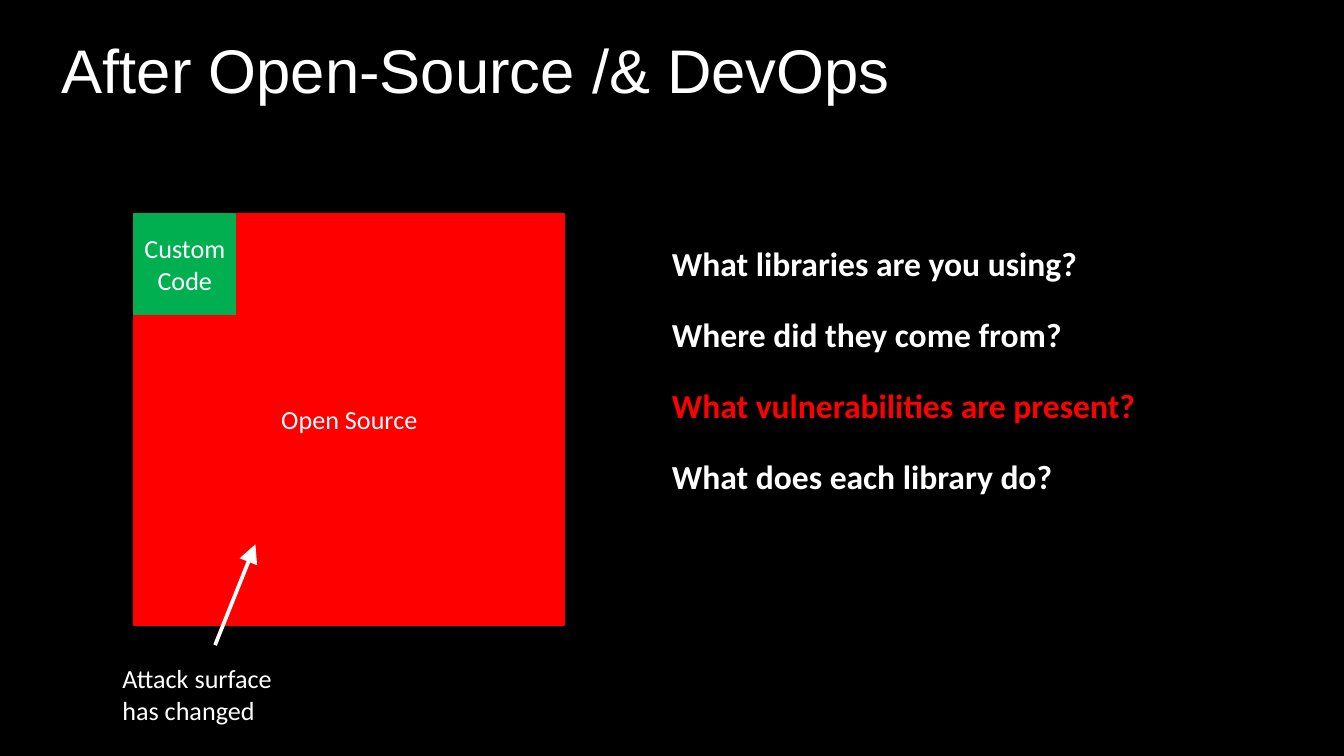
"""Build the slide on the attack surface after open source and DevOps."""
from lxml.etree import SubElement
from pptx import Presentation
from pptx.dml.color import RGBColor
from pptx.enum.shapes import MSO_CONNECTOR, MSO_SHAPE
from pptx.enum.text import MSO_ANCHOR as ANCHOR, PP_ALIGN as ALIGN
from pptx.oxml.ns import qn
from pptx.util import Inches, Pt

WHITE, RED, GREEN, BLACK = "FFFFFF", "FF0000", "00B050", "000000"


def rgb(value):
    return RGBColor.from_string(value)


def write(sp, lines, color=WHITE, align=ALIGN.LEFT, anchor=ANCHOR.TOP, spacing=None, **font):
    tf = sp.text_frame
    frame = {"word_wrap": True, "vertical_anchor": anchor}
    frame.update({f"margin_{side}": Inches(0.04) for side in ("left", "top", "right", "bottom")})
    for name, value in frame.items():
        setattr(tf, name, value)
    for i, line in enumerate(lines):
        p = tf.add_paragraph() if i else tf.paragraphs[0]
        p.alignment, p.line_spacing = align, spacing
        r = p.add_run()
        r.text = line
        r.font.color.rgb = rgb(color)
        for name, value in font.items():
            setattr(r.font, name, value)


prs = Presentation()
prs.slide_width, prs.slide_height = Inches(10), Inches(10 * 9 / 16)
s = prs.slides.add_slide(prs.slide_layouts[6])
s.background.fill.solid()
s.background.fill.fore_color.rgb = rgb(BLACK)

label = {"name": "Calibri", "size": Pt(14)}
question = {"name": "Calibri", "size": Pt(18), "bold": True}

title = s.shapes.add_textbox(Inches(0.42), Inches(0), Inches(8.62), Inches(1.09))
write(title, ["After Open-Source /& DevOps"], anchor=ANCHOR.MIDDLE, spacing=0.9,
      name="Arial", size=Pt(33))

questions = [
    ("What libraries are you using?", WHITE),
    ("Where did they come from?", WHITE),
    ("What vulnerabilities are present?", RED),
    ("What does each library do?", WHITE),
]
for i, (text, color) in enumerate(questions):
    sp = s.shapes.add_textbox(Inches(4.96), Inches(1.765 + 0.53 * i), Inches(4.53), Inches(0.37))
    write(sp, [text], color, **question)

blocks = [("Open Source", 3.2, 3.06, RED), ("Custom Code", 0.75, 0.75, GREEN)]
for text, width, height, color in blocks:
    sp = s.shapes.add_shape(MSO_SHAPE.RECTANGLE, Inches(1), Inches(1.59), Inches(width), Inches(height))
    sp.shadow.inherit = False
    sp.fill.solid()
    sp.fill.fore_color.rgb = rgb(color)
    sp.line.color.rgb = rgb(color)
    sp.line.width = Pt(1)
    write(sp, [text], align=ALIGN.CENTER, anchor=ANCHOR.MIDDLE, **label)

arrow = s.shapes.add_connector(MSO_CONNECTOR.STRAIGHT, Inches(1.6), Inches(4.8), Inches(1.9), Inches(4.05))
arrow.line.color.rgb = rgb(WHITE)
arrow.line.width = Pt(2)
SubElement(arrow.line._get_or_add_ln(), qn("a:tailEnd"), type="triangle", w="lg", len="lg")
SubElement(arrow._element.spPr, qn("a:effectLst"))

note = s.shapes.add_textbox(Inches(0.87), Inches(4.89), Inches(1.41), Inches(0.51))
write(note, ["Attack surface", "has changed"], **label)

prs.save("out.pptx")
